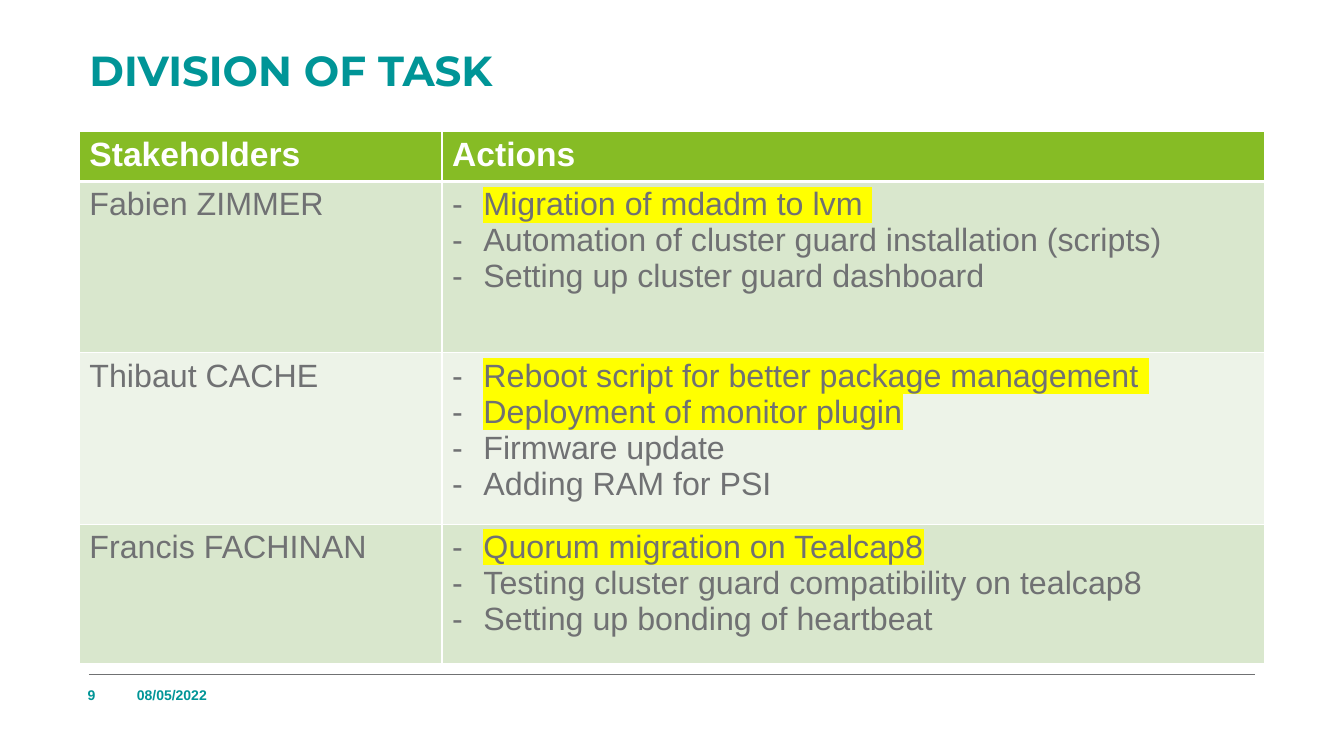
from lxml.etree import SubElement
from pptx import Presentation
from pptx.dml.color import RGBColor
from pptx.enum.shapes import MSO_CONNECTOR as Connector
from pptx.enum.text import MSO_ANCHOR as Anchor, PP_ALIGN as Align
from pptx.oxml.ns import qn
from pptx.util import Cm, Pt

COLORS = {"teal": "009597", "green": "86BC25", "band": "D9E7CD", "pale": "EDF3E8",
          "grey": "707173", "white": "FFFFFF", "yellow": "FFFF00"}
TITLE = "DIVISION OF TASK"
HEADINGS = ["Stakeholders", "Actions"]
# Each action is paired with whether it is highlighted
TASKS = [
    ("Fabien ZIMMER", [("Migration of mdadm to lvm ", True),
                       ("Automation of cluster guard installation (scripts)", False),
                       ("Setting up cluster guard dashboard", False)]),
    ("Thibaut CACHE", [("Reboot script for better package management ", True),
                       ("Deployment of monitor plugin", True),
                       ("Firmware update", False),
                       ("Adding RAM for PSI", False)]),
    ("Francis FACHINAN", [("Quorum migration on Tealcap8", True),
                          ("Testing cluster guard compatibility on tealcap8", False),
                          ("Setting up bonding of heartbeat", False)]),
]
# text, left, width, alignment
FOOTERS = [("08/05/2022", 3.15, 2.31, Align.RIGHT), ("9", 1.96, 1.5, Align.LEFT)]
COLUMN_WIDTHS = [9.14, 20.73]
ROW_HEIGHTS = [1.09, 4.32, 4.32, 3.51]


def color(name):
    return RGBColor.from_string(COLORS[name])


def add_span(para, text, size, ink, bold=False, font="Arial", marked=False):
    span = para.add_run()
    span.text = text
    span.font.size = Pt(size)
    span.font.bold = bold
    span.font.color.rgb = color(ink)
    if marked:
        properties = span.font._element
        highlight = SubElement(properties, qn("a:highlight"))
        SubElement(highlight, qn("a:srgbClr"), val=COLORS["yellow"])
        properties.find(qn("a:solidFill")).addnext(highlight)
    span.font.name = font


def add_dash(para):
    properties = para._p.get_or_add_pPr()
    properties.set("marL", str(Cm(0.79)))
    properties.set("indent", str(-Cm(0.79)))
    SubElement(properties, qn("a:buFont"), typeface="Arial")
    SubElement(properties, qn("a:buChar"), char="-")


def style_cell(cell, fill, top=1, bottom=1):
    """Fill the cell and draw white borders, with top and bottom widths in points."""
    cell.fill.solid()
    cell.fill.fore_color.rgb = color(fill)
    properties = cell._tc.get_or_add_tcPr()
    widths = {"lnL": 1, "lnR": 1, "lnT": top, "lnB": bottom}
    for place, (tag, width) in enumerate(widths.items()):
        border = SubElement(properties, qn(f"a:{tag}"), w=str(Pt(width)))
        paint = SubElement(border, qn("a:solidFill"))
        SubElement(paint, qn("a:srgbClr"), val=COLORS["white"])
        properties.insert(place, border)


def add_title(page):
    title = page.shapes.title
    title.left, title.top, title.width, title.height = Cm(2), Cm(1.2), Cm(30), Cm(2.5)
    title.text_frame.vertical_anchor = Anchor.TOP
    para = title.text_frame.paragraphs[0]
    para.alignment = Align.LEFT
    para.line_spacing = 0.85
    add_span(para, TITLE, 30, "teal", True, "Montserrat")


def add_footer(page):
    rule = page.shapes.add_connector(Connector.STRAIGHT, Cm(2.24), Cm(17), Cm(31.62), Cm(17))
    rule.line.color.rgb = color("grey")
    rule.line.width = Pt(0.5)
    SubElement(rule._element.spPr, qn("a:effectLst"))
    for text, left, width, alignment in FOOTERS:
        box = page.shapes.add_textbox(Cm(left), Cm(17.15), Cm(width), Cm(0.7))
        box.text_frame.word_wrap = True
        box.text_frame.vertical_anchor = Anchor.MIDDLE
        para = box.text_frame.paragraphs[0]
        para.alignment = alignment
        add_span(para, text, 10, "teal", True)


def add_task_table(page):
    table = page.shapes.add_table(len(ROW_HEIGHTS), len(COLUMN_WIDTHS), Cm(2), Cm(3.3),
                                  Cm(sum(COLUMN_WIDTHS)), Cm(sum(ROW_HEIGHTS))).table
    for column, width in zip(table.columns, COLUMN_WIDTHS):
        column.width = Cm(width)
    for row, height in zip(table.rows, ROW_HEIGHTS):
        row.height = Cm(height)

    for index, heading in enumerate(HEADINGS):
        cell = table.cell(0, index)
        style_cell(cell, "green", bottom=3)
        add_span(cell.text_frame.paragraphs[0], heading, 24, "white", True)

    for number, (person, actions) in enumerate(TASKS, 1):
        name_cell, action_cell = table.cell(number, 0), table.cell(number, 1)
        for cell in (name_cell, action_cell):
            style_cell(cell, "band" if number % 2 else "pale", top=3 if number == 1 else 1)
        add_span(name_cell.text_frame.paragraphs[0], person, 23, "grey")
        frame = action_cell.text_frame
        for index, (action, marked) in enumerate(actions):
            para = frame.add_paragraph() if index else frame.paragraphs[0]
            add_dash(para)
            add_span(para, action, 23, "grey", marked=marked)


def main():
    deck = Presentation()
    deck.slide_width, deck.slide_height = Cm(33.87), Cm(19.05)
    page = deck.slides.add_slide(deck.slide_layouts[5])
    add_title(page)
    add_footer(page)
    add_task_table(page)
    deck.save("out.pptx")


if __name__ == "__main__":
    main()
